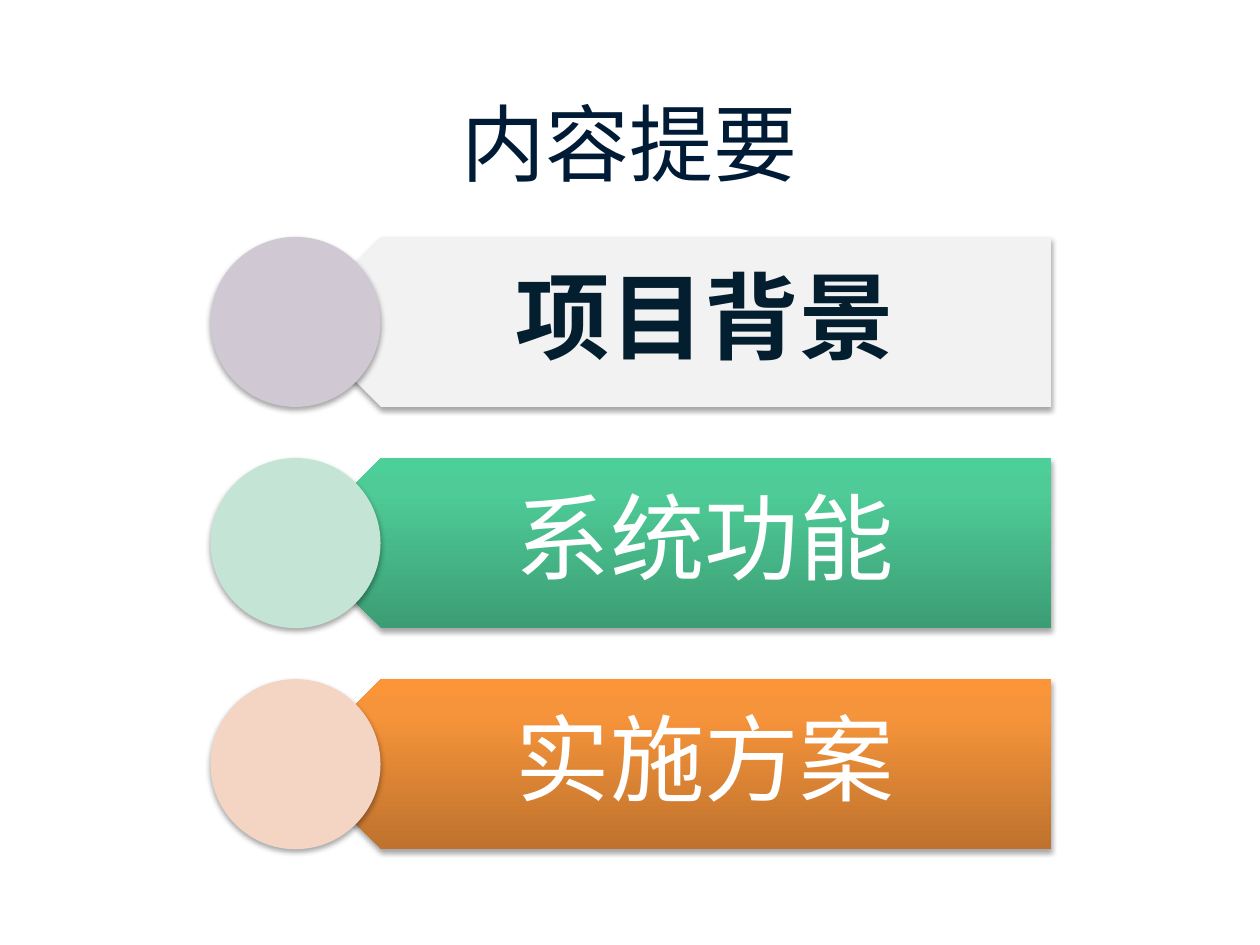
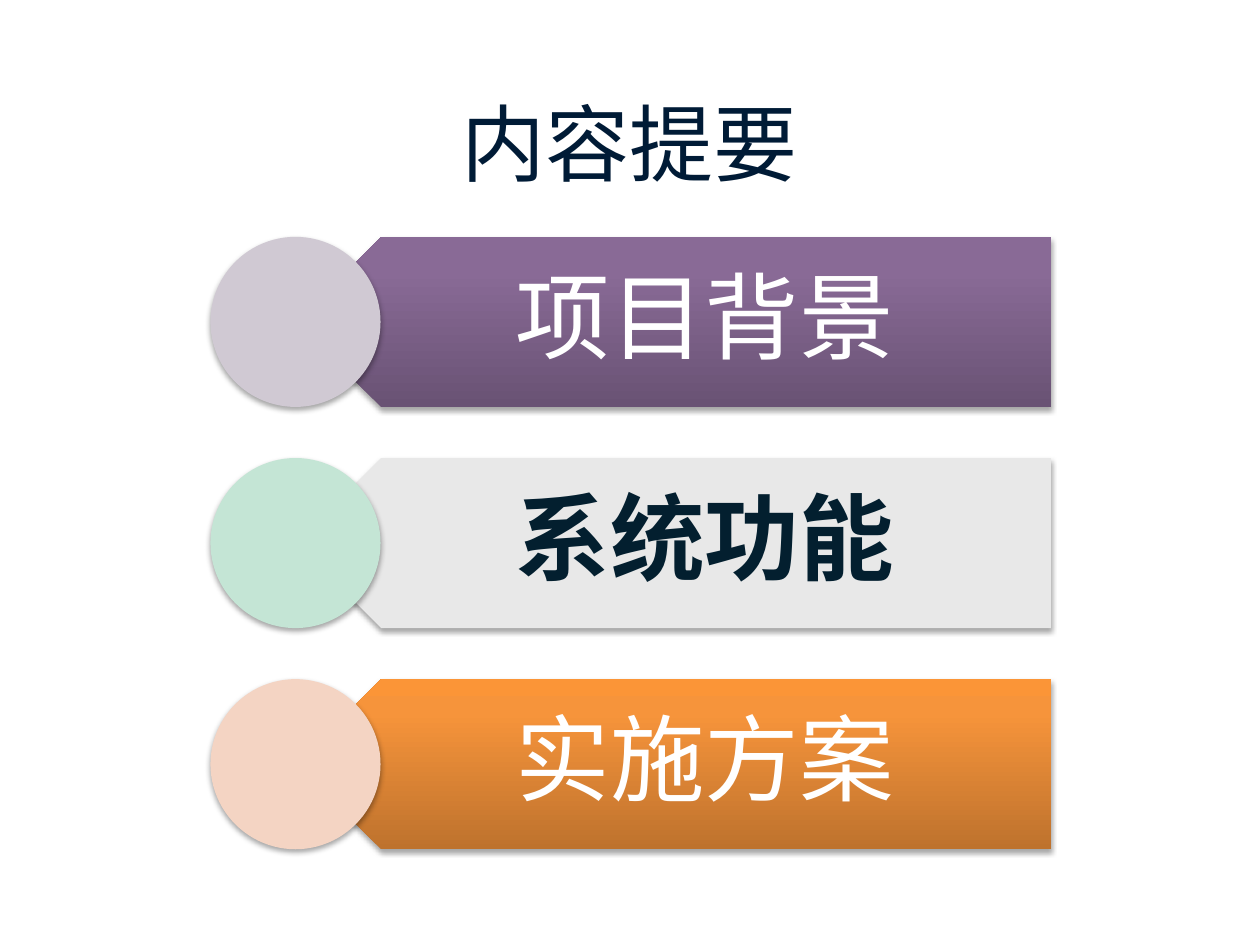
import pptx
import pptx.dml.color
import pptx.enum.shapes
import pptx.enum.text
import pptx.oxml
import pptx.oxml.ns
import pptx.util
from lxml import etree

Inches = pptx.util.Inches
SHAPES = pptx.enum.shapes.MSO_SHAPE
NAMESPACE = pptx.oxml.ns.nsdecls("a")
FONT = "Noto Sans CJK SC"
TITLE_COLOUR = "001B36"
CURRENT_TEXT = "031F2F"
WHITE = "FFFFFF"

BAR_LEFT, BAR_WIDTH = 2.35, 5.99
LABEL_LEFT, LABEL_WIDTH = 2.68, 5.65
CIRCLE_LEFT = 1.67
FIRST_TOP, HEIGHT = 1.88, 1.35
PITCH = HEIGHT * 1.3

CHAPTERS = [
    ("项目背景", "D0C9D3", ("695274", "896A96", "8A6A98")),
    ("系统功能", "C4E5D5", ("3C9D74", "4ECB97", "4CCF98")),
    ("实施方案", "F4D4C3", ("BE722D", "F6943B", "FB9537")),
]
SLIDES = [(0, "F2F2F2"), (1, "E8E8E8")]

SHADOW = f"""<a:effectLst {NAMESPACE}>
<a:outerShdw blurRad="40000" dist="23000" dir="5400000" rotWithShape="0">
<a:srgbClr val="000000"><a:alpha val="35000"/></a:srgbClr></a:outerShdw></a:effectLst>"""


def colour(value):
    return pptx.dml.color.RGBColor.from_string(value)


def add_text(shapes, position, text, size, text_colour, bold=False):
    box = shapes.add_textbox(*map(Inches, position))
    frame = box.text_frame
    frame.word_wrap = True
    frame.vertical_anchor = pptx.enum.text.MSO_ANCHOR.MIDDLE
    paragraph = frame.paragraphs[0]
    paragraph.alignment = pptx.enum.text.PP_ALIGN.CENTER
    run = paragraph.add_run()
    run.text = text
    run.font.size = pptx.util.Pt(size)
    run.font.bold = bold
    run.font.color.rgb = colour(text_colour)
    run.font.name = FONT
    properties = run.font._element
    etree.SubElement(properties, pptx.oxml.ns.qn("a:ea"), typeface=FONT)
    return frame


presentation = pptx.Presentation()
presentation.slide_width = Inches(10)
presentation.slide_height = Inches(7.5)

for current, current_fill in SLIDES:
    slide = presentation.slides.add_slide(presentation.slide_layouts[6])
    slide.background.fill.solid()
    slide.background.fill.fore_color.rgb = colour(WHITE)
    add_text(slide.shapes, (0.5, 0.5, 9, 1.25), "内容提要", 48, TITLE_COLOUR)
    agenda = slide.shapes.add_group_shape()

    for index, (chapter, circle_fill, gradient) in enumerate(CHAPTERS):
        top = FIRST_TOP + index * PITCH
        is_current = index == current

        bar = agenda.shapes.add_shape(
            SHAPES.PENTAGON, Inches(BAR_LEFT), Inches(top), Inches(BAR_WIDTH), Inches(HEIGHT))
        bar.rotation = 180
        if is_current:
            bar.fill.solid()
            bar.fill.fore_color.rgb = colour(current_fill)
        else:
            stops = "".join(
                f'<a:gs pos="{place}"><a:srgbClr val="{stop}"/></a:gs>'
                for place, stop in zip((0, 80000, 100000), gradient))
            fill = pptx.oxml.parse_xml(
                f'<a:gradFill {NAMESPACE} rotWithShape="0"><a:gsLst>{stops}</a:gsLst>'
                '<a:lin ang="16200000" scaled="0"/></a:gradFill>')
            bar._element.spPr.find(pptx.oxml.ns.qn("a:prstGeom")).addnext(fill)

        frame = add_text(agenda.shapes, (LABEL_LEFT, top, LABEL_WIDTH, HEIGHT), chapter, 54,
                         CURRENT_TEXT if is_current else WHITE, is_current)
        frame.margin_left, frame.margin_right = Inches(0.6), Inches(0.42)
        frame.margin_top = frame.margin_bottom = Inches(0.23)
        paragraph = frame.paragraphs[0]
        paragraph.line_spacing = 0.9
        paragraph._p.get_or_add_pPr().append(pptx.oxml.parse_xml(
            f'<a:spcAft {NAMESPACE}><a:spcPct val="35000"/></a:spcAft>'))

        circle = agenda.shapes.add_shape(
            SHAPES.OVAL, Inches(CIRCLE_LEFT), Inches(top), Inches(HEIGHT), Inches(HEIGHT))
        circle.fill.solid()
        circle.fill.fore_color.rgb = colour(circle_fill)

        for shape in (bar, circle):
            shape.line.fill.background()
            shape._element.spPr.append(pptx.oxml.parse_xml(SHADOW))

presentation.save("out.pptx")
